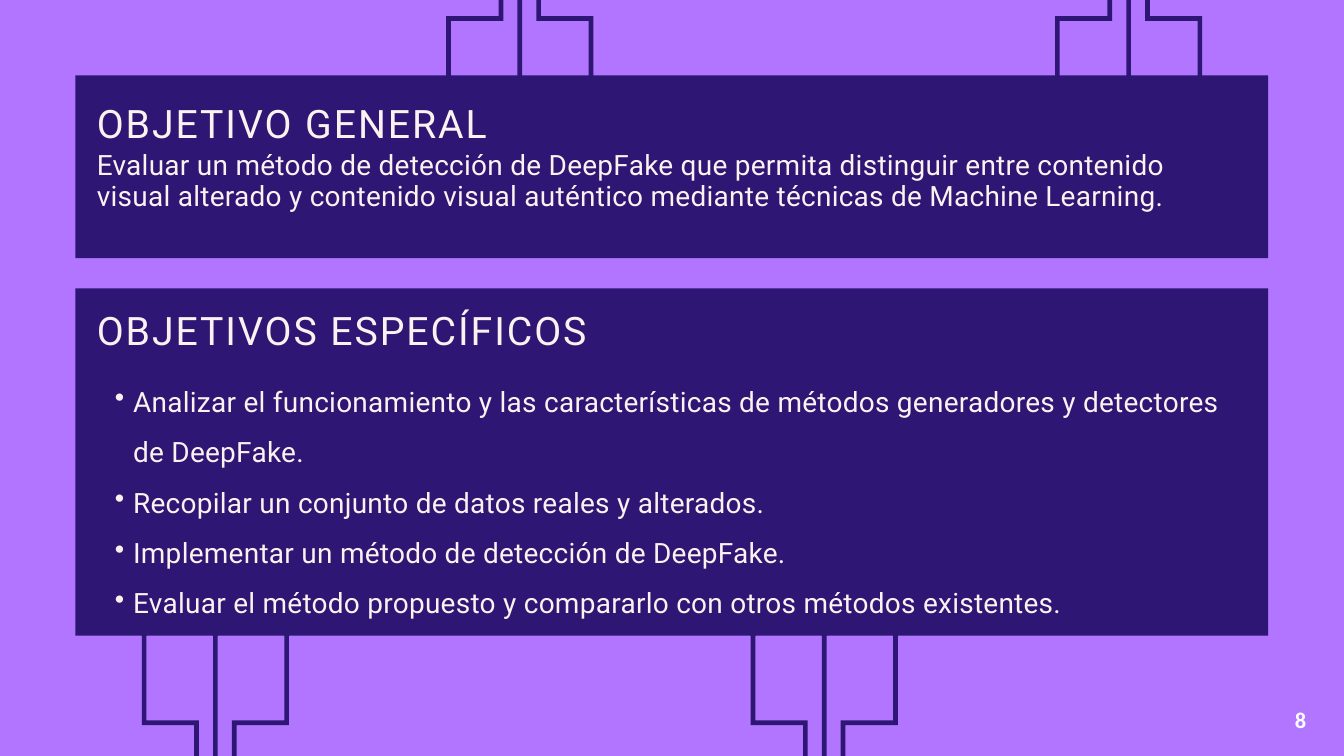
"""Build the objectives slide: two text panels with circuit traces above and below."""
import pptx
import pptx.dml.color
import pptx.enum.shapes
import pptx.enum.text
import pptx.util
from lxml import etree

Inches = pptx.util.Inches
Pt = pptx.util.Pt
COLOURS = {"background": "B175FF", "panel": "2D1674", "text": "FBF1EF", "number": "FFFFFF"}


def colour(name):
    return pptx.dml.color.RGBColor.from_string(COLOURS[name])


def write(text, box, place, size=30, font="Roboto", ink="text", bold=False,
          tracking=0.3, spacing=None, bullet=False, inset=(0, 0)):
    box.left, box.top, box.width, box.height = [Inches(value) for value in place]
    frame = box.text_frame
    frame.word_wrap = True
    frame.auto_size = pptx.enum.text.MSO_AUTO_SIZE.SHAPE_TO_FIT_TEXT
    frame.vertical_anchor = pptx.enum.text.MSO_ANCHOR.TOP
    frame.margin_left = frame.margin_right = Inches(inset[0])
    frame.margin_top = frame.margin_bottom = Inches(inset[1])
    frame.text = text
    for para in frame.paragraphs:
        para.alignment = pptx.enum.text.PP_ALIGN.LEFT
        para.space_before = Pt(0)
        para.line_spacing = spacing
        if bullet:
            para.level = 1
            properties = para._p.get_or_add_pPr()
            properties.set("marL", str(Inches(0.54)))
            properties.set("indent", str(Inches(-0.27)))
            mark = etree.SubElement(properties, pptx.oxml.ns.qn("a:buChar"))
            mark.set("char", "•")
        for span in para.runs:
            span.font.name = font
            span.font.size = Pt(size)
            span.font.bold = bold
            span.font.color.rgb = colour(ink)
            span._r.get_or_add_rPr().set("spc", str(round(tracking * 100)))


deck = pptx.Presentation()
deck.slide_width, deck.slide_height = Inches(20), Inches(11.25)
page = deck.slides.add_slide(deck.slide_layouts[5])
page.background.fill.solid()
page.background.fill.fore_color.rgb = colour("background")

panels = []
for top, height in [(1.12, 2.72), (4.29, 5.17)]:
    panels.append(page.shapes.add_shape(
        pptx.enum.shapes.MSO_SHAPE.RECTANGLE,
        Inches(1.12), Inches(top), Inches(17.75), Inches(height)))

node_right = [(8, 0), (19, 0), (27, 8), (27, 18), (17, 26)]
node_left = [(10, 26), (0, 18), (0, 8)]
elbow = [(17, 152), (95, 152), (95, 311), (88, 311), (88, 159), (10, 159)]
left_trace = node_right + elbow + node_left
middle_trace = [(x + 106, y) for x, y in node_right + [(17, 311), (10, 311)] + node_left]
right_trace = [(239 - x, y) for x, y in left_trace]

for left, top, turn in [(15.6, -1.28, 180), (6.54, -1.28, 180), (2.01, 9.2, 0), (11.07, 9.2, 0)]:
    builder = page.shapes.build_freeform(*left_trace[0], scale=Inches(0.01))
    builder.add_line_segments(left_trace[1:], close=True)
    for trace in (middle_trace, right_trace):
        builder.move_to(*trace[0])
        builder.add_line_segments(trace[1:], close=True)
    circuit = builder.convert_to_shape(Inches(left), Inches(top))
    circuit.rotation = turn
    panels.append(circuit)

for shape in panels:
    shape.shadow.inherit = False
    shape.fill.solid()
    shape.fill.fore_color.rgb = colour("panel")
    shape.line.fill.background()

heading = {"size": 42, "tracking": 2.1, "spacing": Pt(54.6)}
title = page.shapes.title
title.element.getparent().append(title.element)
write("OBJETIVO GENERAL", title, (1.44, 1.42, 11.05, 0.74), **heading)

goals = "\n".join([
    "Analizar el funcionamiento y las características de métodos generadores y detectores de DeepFake.",
    "Recopilar un conjunto de datos reales y alterados.",
    "Implementar un método de detección de DeepFake.",
    "Evaluar el método propuesto y compararlo con otros métodos existentes.",
])
general = ("Evaluar un método de detección de DeepFake que permita distinguir entre contenido "
           "visual alterado y contenido visual auténtico mediante técnicas de Machine Learning.")
for text, place, style in [
    (general, (1.44, 2.25, 17.12, 1.36), {"spacing": Pt(32.4)}),
    ("OBJETIVOS ESPECÍFICOS", (1.44, 4.5, 11.05, 0.74), heading),
    (goals, (1.44, 5.47, 17.12, 4.68), {"spacing": 1.5, "bullet": True}),
    ("8", (19.17, 10.46, 0.42, 0.5),
     {"size": 24, "font": "Calibri", "ink": "number", "bold": True, "tracking": 0, "inset": (0.1, 0.05)}),
]:
    write(text, page.shapes.add_textbox(0, 0, 0, 0), place, **style)

deck.save("out.pptx")
